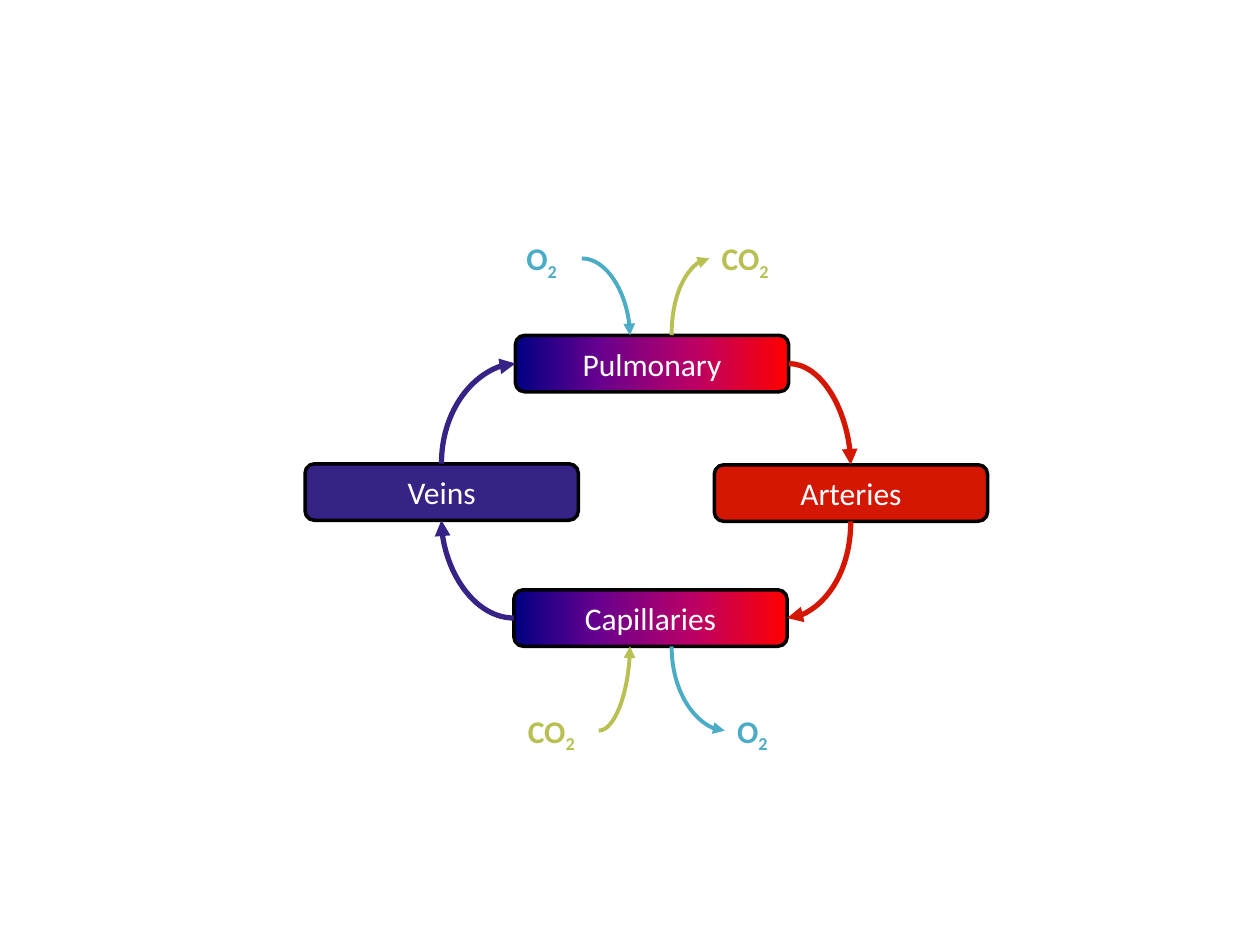
from lxml import etree
from pptx import Presentation
from pptx.dml.color import RGBColor as RGB
from pptx.enum.shapes import MSO_CONNECTOR as LINK, MSO_SHAPE as SHAPE
from pptx.enum.text import MSO_ANCHOR as ANCHOR, MSO_AUTO_SIZE as SIZE, PP_ALIGN as ALIGN
from pptx.oxml.ns import qn
from pptx.util import Cm, Pt

HEX = {"red": "D31703", "blue": "372286", "aqua": "4BACC6", "lime": "B8C052",
       "black": "000000", "white": "FFFFFF"}
STOPS = [(0, "000082"), (30, "66008F"), (65, "BA0066"), (100, "FF0000"), (100, "FF8200")]
WIDE, HIGH = 5.51, 1.14


def style(para, tone, bold=False):
    """Set the font of a paragraph."""
    font = para.font
    font.name, font.size, font.bold = "Calibri", Pt(18), bold
    font.color.rgb = RGB.from_string(HEX[tone])


def bend(start, end, tone, width, upright):
    """Draw a curved arrow that leaves upright or level."""
    (x1, y1), (x2, y2) = start, end
    if upright:  # turned a quarter about the middle
        mx, my, dx, dy = (x1 + x2) / 2, (y1 + y2) / 2, (x2 - x1) / 2, (y2 - y1) / 2
        x1, y1, x2, y2 = mx - dy, my + dx, mx + dy, my - dx
    link = slide.shapes.add_connector(LINK.CURVE, Cm(x1), Cm(y1), Cm(x2), Cm(y2))
    link.line.color.rgb = RGB.from_string(HEX[tone])
    link.line.width = Pt(width)
    props = link._element.spPr
    props.find(qn("a:prstGeom")).set("prst", "curvedConnector2")
    if upright:
        props.find(qn("a:xfrm")).set("rot", "5400000")
    etree.SubElement(props.find(qn("a:ln")), qn("a:tailEnd"), type="triangle")
    etree.SubElement(props, qn("a:effectLst"))


deck = Presentation()
deck.slide_width, deck.slide_height = Cm(25.4), Cm(19.05)
slide = deck.slides.add_slide(deck.slide_layouts[6])

# Stages of the cycle; no tone means the blue to red blend
for name, left, top, tone in [
    ("Pulmonary", 10.39, 6.76, None),
    ("Arteries", 14.4, 9.37, "red"),
    ("Capillaries", 10.36, 11.89, None),
    ("Veins", 6.15, 9.35, "blue"),
]:
    box = slide.shapes.add_shape(SHAPE.ROUNDED_RECTANGLE, Cm(left), Cm(top), Cm(WIDE), Cm(HIGH))
    box.shadow.inherit = False
    box.line.color.rgb = RGB.from_string(HEX["black"])
    box.line.width = Pt(2)
    if tone:
        box.fill.solid()
        box.fill.fore_color.rgb = RGB.from_string(HEX[tone])
    else:
        box.fill.gradient()
        box.fill.gradient_angle = 0
        stops = box._element.spPr.find(qn("a:gradFill")).find(qn("a:gsLst"))
        for old in list(stops):
            stops.remove(old)
        for spot, code in STOPS:
            stop = etree.SubElement(stops, qn("a:gs"), pos=str(spot * 1000))
            etree.SubElement(stop, qn("a:srgbClr"), val=code)
    frame = box.text_frame
    frame.vertical_anchor = ANCHOR.MIDDLE
    para = frame.paragraphs[0]
    para.text, para.alignment = name, ALIGN.CENTER
    style(para, "white")

# Blood flow
bend((15.9, 7.33), (17.15, 9.37), "red", 3, False)
bend((17.15, 10.51), (15.87, 12.46), "red", 3, True)
bend((10.36, 12.46), (8.9, 10.49), "blue", 3, False)
bend((8.9, 9.35), (10.39, 7.33), "blue", 3, True)

# Gas labels
for gas, left, top, width, tone in [
    ("O", 10.36, 4.7, 1.35, "aqua"),
    ("O", 14.61, 14.22, 1.35, "aqua"),
    ("CO", 10.39, 14.22, 1.68, "lime"),
    ("CO", 14.3, 4.7, 1.68, "lime"),
]:
    label = slide.shapes.add_textbox(Cm(left), Cm(top), Cm(width), Cm(1.02))
    frame = label.text_frame
    frame.word_wrap, frame.auto_size = False, SIZE.SHAPE_TO_FIT_TEXT
    para = frame.paragraphs[0]
    para.add_run().text = gas
    sub = para.add_run()
    sub.text = "2"
    sub.font._element.set("baseline", "-25000")
    style(para, tone, True)

# Gas exchange
bend((11.73, 5.21), (12.7, 6.76), "aqua", 2.25, False)
bend((13.54, 13.03), (14.61, 14.73), "aqua", 2.25, True)
bend((13.54, 6.76), (14.3, 5.21), "lime", 2.25, True)
bend((12.07, 14.73), (12.7, 13.03), "lime", 2.25, False)

deck.save("out.pptx")
